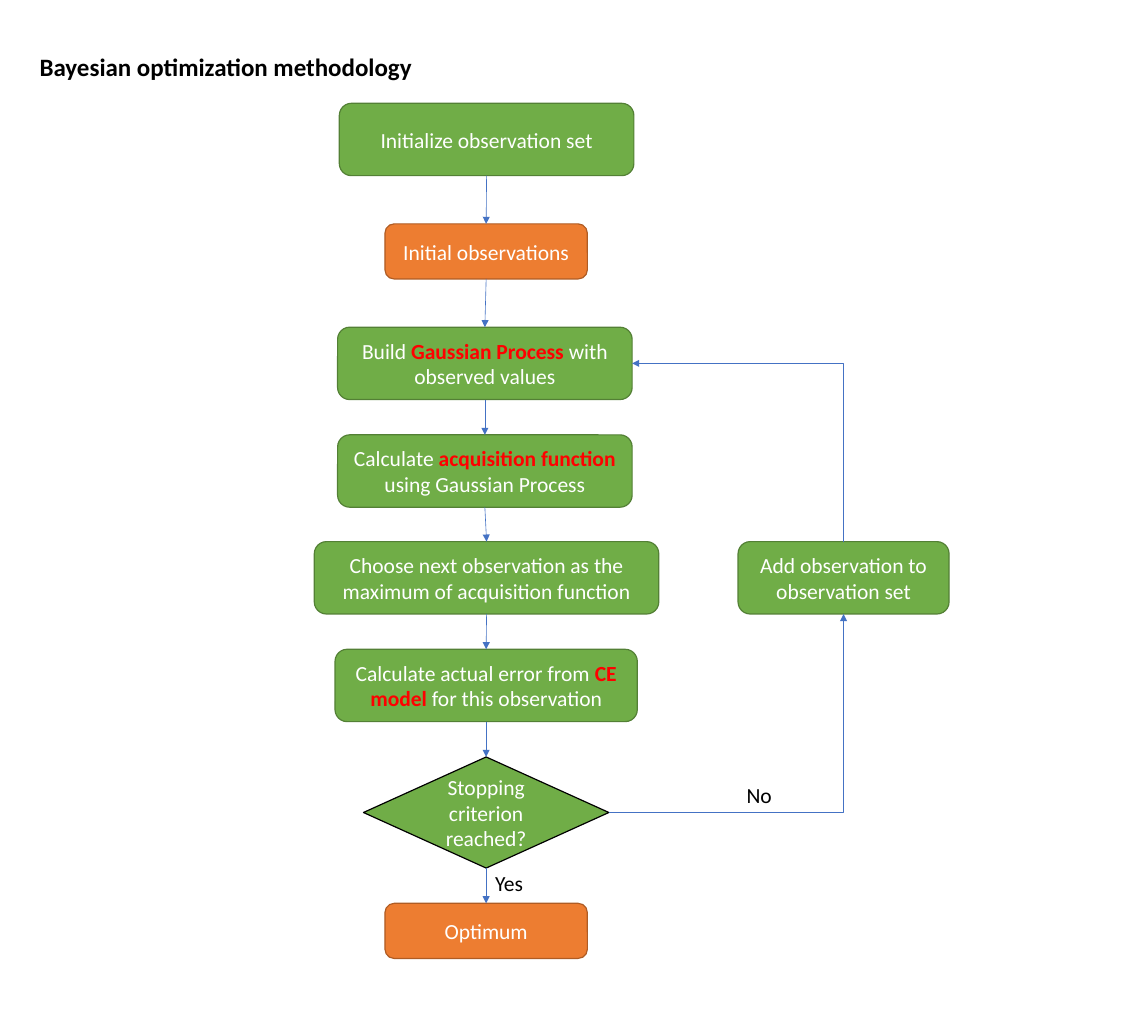
"""Build the Bayesian optimization methodology flowchart slide."""
from lxml import etree
from pptx import Presentation
from pptx import util as u
from pptx.dml.color import RGBColor
from pptx.enum import shapes, text
from pptx.oxml.ns import qn

PX = 9144
THEME = {
    "font": "Calibri", "body": 18, "title": 36, "outline": 1, "arrow": 0.5,
    "step": "70AD47", "step_line": "538035",
    "data": "ED7D31", "data_line": "AF5C24",
    "connector": "4472C4", "light": "FFFFFF", "dark": "000000", "accent": "FF0000",
}
TOP, LEFT, BOTTOM, RIGHT = range(4)
ROUNDED = shapes.MSO_SHAPE.ROUNDED_RECTANGLE
DECISION = shapes.MSO_SHAPE.FLOWCHART_DECISION


def color(name):
    return RGBColor.from_string(THEME[name])


def write(shape, pieces, frame_format, alignment, size="body"):
    """Fill a shape with runs given as (text, colour, bold)."""
    frame = shape.text_frame
    for name, value in frame_format.items():
        setattr(frame, name, value)
    paragraph = frame.paragraphs[0]
    paragraph_format = {"alignment": alignment, "line_spacing": 1.0, "space_before": 0}
    for name, value in paragraph_format.items():
        setattr(paragraph, name, value)
    for content, color_name, bold in pieces:
        run = paragraph.add_run()
        run.text = content
        font_format = {"name": THEME["font"], "size": u.Pt(THEME[size]), "bold": bold}
        for name, value in font_format.items():
            setattr(run.font, name, value)
        run.font.color.rgb = color(color_name)


presentation = Presentation()
presentation.slide_width, presentation.slide_height = 1333 * PX, 1181 * PX
slide = presentation.slides.add_slide(presentation.slide_layouts[5])

BOX_FORMAT = {"word_wrap": True, "vertical_anchor": text.MSO_ANCHOR.MIDDLE}
LABEL_FORMAT = {"word_wrap": True, "vertical_anchor": text.MSO_ANCHOR.TOP,
                "auto_size": text.MSO_AUTO_SIZE.NONE}

title = slide.shapes.title
title_place = {"left": 36, "top": 21, "width": 787, "height": 50}
for name, value in title_place.items():
    setattr(title, name, value * PX)
write(title, [("Bayesian optimization methodology", "dark", True)],
      LABEL_FORMAT, text.PP_ALIGN.LEFT, "title")
title.text_frame.paragraphs[0].runs[0].font._element.set("baseline", "-25000")

nodes = {
    "initialize": (ROUNDED, 394, 120, 342, 84, "step", "step_line",
                   [("Initialize observation set", "light", False)]),
    "initial": (ROUNDED, 447, 260, 235, 64, "data", "data_line",
                [("Initial observations", "light", False)]),
    "build": (ROUNDED, 392, 380, 342, 84, "step", "step_line",
              [("Build ", "light", False), ("Gaussian Process ", "accent", True),
               ("with observed values", "light", False)]),
    "acquisition": (ROUNDED, 392, 505, 342, 84, "step", "step_line",
                    [("Calculate ", "light", False), ("acquisition function ", "accent", True),
                     ("using Gaussian Process", "light", False)]),
    "choose": (ROUNDED, 365, 629, 400, 84, "step", "step_line",
               [("Choose next observation as the maximum of acquisition function",
                 "light", False)]),
    "error": (ROUNDED, 389, 754, 351, 84, "step", "step_line",
              [("Calculate actual error from ", "light", False), ("CE model ", "accent", True),
               ("for this observation", "light", False)]),
    "stopping": (DECISION, 422, 879, 285, 129, "step", "dark",
                 [("Stopping criterion reached?", "light", False)]),
    "optimum": (ROUNDED, 447, 1049, 235, 64, "data", "data_line",
                [("Optimum", "light", False)]),
    "add": (ROUNDED, 857, 629, 245, 84, "step", "step_line",
            [("Add observation to observation set", "light", False)]),
}
boxes = {}
for key, (kind, left, top, width, height, fill, outline, pieces) in nodes.items():
    box = slide.shapes.add_shape(kind, left * PX, top * PX, width * PX, height * PX)
    box.shadow.inherit = False
    box.fill.solid()
    box.fill.fore_color.rgb = color(fill)
    box.line.color.rgb = color(outline)
    box.line.width = u.Pt(THEME["outline"])
    write(box, pieces, BOX_FORMAT, text.PP_ALIGN.CENTER)
    boxes[key] = box

flow = [key for key in nodes if key != "add"]
links = [(start, BOTTOM, end, TOP) for start, end in zip(flow, flow[1:])]
links += [("stopping", RIGHT, "add", BOTTOM), ("add", TOP, "build", RIGHT)]
for start, start_site, end, end_site in links:
    bent = RIGHT in (start_site, end_site)
    kind = shapes.MSO_CONNECTOR.ELBOW if bent else shapes.MSO_CONNECTOR.STRAIGHT
    connector = slide.shapes.add_connector(kind, 0, 0, 0, 0)
    connector.begin_connect(boxes[start], start_site)
    connector.end_connect(boxes[end], end_site)
    connector.line.color.rgb = color("connector")
    connector.line.width = u.Pt(THEME["arrow"])
    properties = connector._element.spPr
    etree.SubElement(properties.find(qn("a:ln")), qn("a:tailEnd"), type="triangle")
    etree.SubElement(properties, qn("a:effectLst"))
    if bent:
        properties.find(qn("a:prstGeom")).set("prst", "bentConnector2")
    if end_site == RIGHT:
        left, top, width, height = connector.left, connector.top, connector.width, connector.height
        turned = {"left": left + (width - height) // 2, "top": top + (height - width) // 2,
                  "width": height, "height": width}
        for name, value in turned.items():
            setattr(connector, name, value)
        for name, value in {"rot": "16200000", "flipH": "0", "flipV": "1"}.items():
            properties.find(qn("a:xfrm")).set(name, value)

for answer, left, top in [("Yes", 565, 1005), ("No", 857, 903)]:
    label = slide.shapes.add_textbox(left * PX, top * PX, 95 * PX, 40 * PX)
    write(label, [(answer, "dark", False)], LABEL_FORMAT, text.PP_ALIGN.LEFT)

presentation.save("out.pptx")
